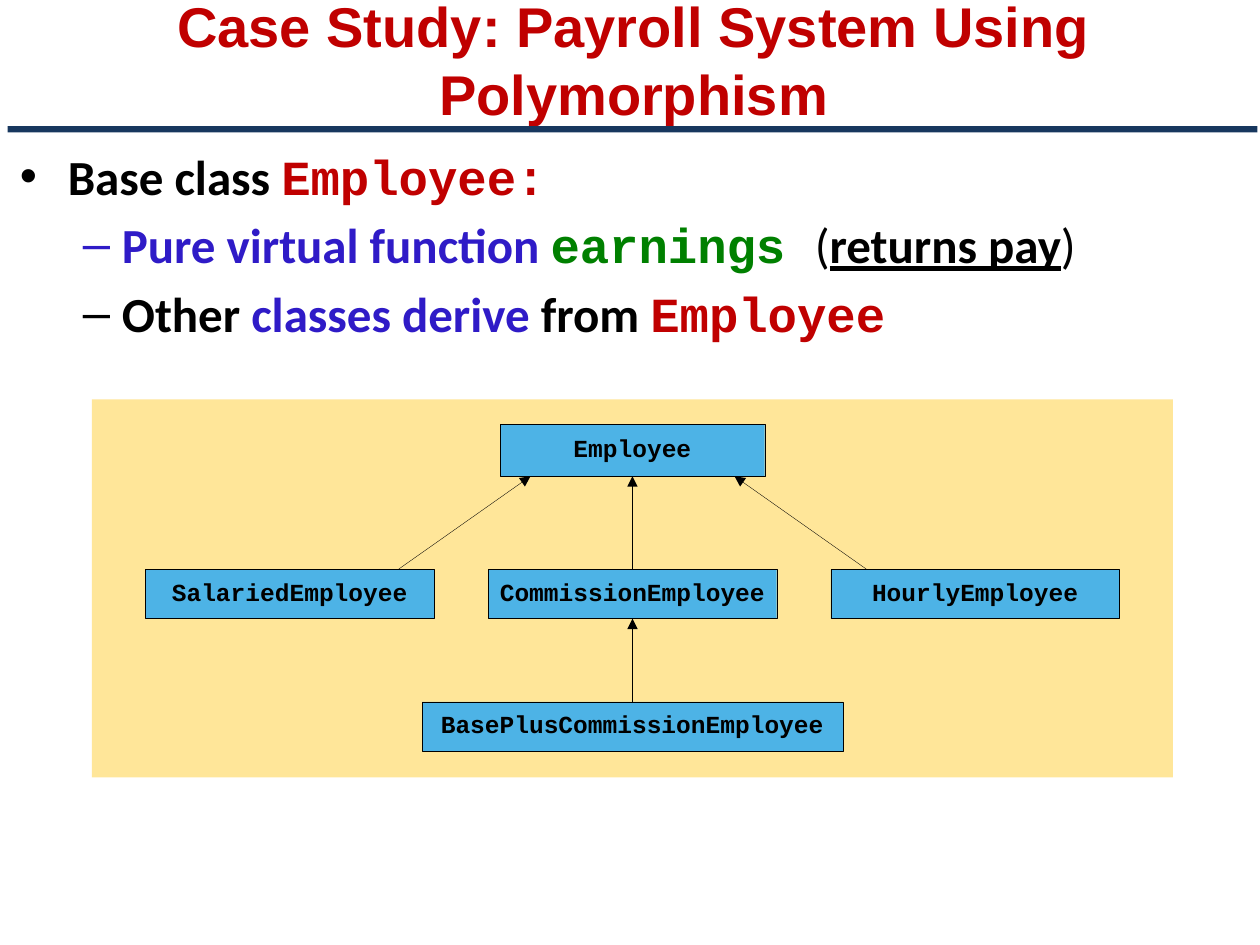
from lxml import etree
from pptx import Presentation
from pptx.dml.color import RGBColor
from pptx.enum.shapes import MSO_CONNECTOR, MSO_SHAPE
from pptx.enum.text import MSO_ANCHOR, PP_ALIGN
from pptx.oxml.ns import qn
from pptx.util import Inches, Pt

RECTANGLE = MSO_SHAPE.RECTANGLE
STRAIGHT = MSO_CONNECTOR.STRAIGHT
MIDDLE = MSO_ANCHOR.MIDDLE
CENTER = PP_ALIGN.CENTER
TOP_SIDE, BOTTOM_SIDE = 0, 2

COLORS = {
    "red": "C00000",
    "black": "000000",
    "violet": "2F1BC7",
    "green": "008000",
    "navy": "17375E",
    "sand": "FFE699",
    "sky": "4DB3E6",
}
CODE = "Courier New"
BODY = "Calibri"

BULLETS = [
    ("•", 0.38, 0.38, [
        ("Base class ", BODY, "black", True, False),
        ("Employee:", CODE, "red", True, False),
    ]),
    ("–", 0.81, 0.31, [
        ("Pure virtual function ", BODY, "violet", True, False),
        ("earnings ", CODE, "green", True, False),
        ("(", BODY, "black", False, False),
        ("returns pay", BODY, "black", True, True),
        (")", BODY, "black", False, False),
    ]),
    ("–", 0.81, 0.31, [
        ("Other ", BODY, "black", True, False),
        ("classes derive ", BODY, "violet", True, False),
        ("from ", BODY, "black", True, False),
        ("Employee", CODE, "red", True, False),
    ]),
]


def rgb(name):
    return RGBColor.from_string(COLORS[name])


def add_rectangle(page, left, top, width, height, fill, outline=None):
    box = page.shapes.add_shape(
        RECTANGLE, Inches(left), Inches(top), Inches(width), Inches(height))
    box.shadow.inherit = False
    box.fill.solid()
    box.fill.fore_color.rgb = rgb(fill)
    if outline:
        box.line.color.rgb = rgb(outline)
        box.line.width = Pt(0.2)
    else:
        box.line.fill.background()
    return box


def add_title(page, left, top, width, height):
    box = page.shapes.add_textbox(
        Inches(left), Inches(top), Inches(width), Inches(height))
    frame = box.text_frame
    frame.word_wrap = True
    frame.vertical_anchor = MIDDLE
    para = frame.paragraphs[0]
    para.text = "Case Study: Payroll System Using Polymorphism"
    para.alignment = CENTER
    para.font.name = "Arial"
    para.font.size = Pt(32)
    para.font.bold = True
    para.font.color.rgb = rgb("red")


def set_bullet(para, mark, indent, hanging):
    properties = para._p.get_or_add_pPr()
    properties.set("marL", str(Inches(indent)))
    properties.set("indent", str(-Inches(hanging)))
    etree.SubElement(properties, qn("a:buFont")).set("typeface", "Arial")
    etree.SubElement(properties, qn("a:buChar")).set("char", mark)


def add_bullets(page, left, top, width, height):
    box = page.shapes.add_textbox(
        Inches(left), Inches(top), Inches(width), Inches(height))
    frame = box.text_frame
    frame.word_wrap = True
    for index, (mark, indent, hanging, spans) in enumerate(BULLETS):
        para = frame.add_paragraph() if index else frame.paragraphs[0]
        set_bullet(para, mark, indent, hanging)
        if index:
            para.level = 1
            para.space_before = Pt(5.6)
        para.font.size = Pt(28)
        for text, font, color, bold, underline in spans:
            span = para.add_run()
            span.text = text
            span.font.name = font
            span.font.size = Pt(28)
            span.font.bold = bold
            span.font.underline = underline
            span.font.color.rgb = rgb(color)


def add_class_box(page, name, center, top, width, height):
    box = add_rectangle(
        page, center - width / 2, top, width, height, "sky", "black")
    frame = box.text_frame
    frame.margin_left = frame.margin_right = 0
    frame.margin_top = frame.margin_bottom = 0
    frame.word_wrap = True
    frame.vertical_anchor = MIDDLE
    para = frame.paragraphs[0]
    para.text = name
    para.alignment = CENTER
    para.line_spacing = 0.8
    para.font.name = CODE
    para.font.size = Pt(14)
    para.font.bold = True
    para.font.color.rgb = rgb("black")
    return box


def add_arrow(page, start_x, start_y, end_x, end_y):
    arrow = page.shapes.add_connector(
        STRAIGHT, Inches(start_x), Inches(start_y), Inches(end_x), Inches(end_y))
    arrow.line.color.rgb = rgb("black")
    arrow.line.width = Pt(0.2)
    etree.SubElement(arrow.line._ln, qn("a:tailEnd")).set("type", "triangle")
    etree.SubElement(arrow._element.spPr, qn("a:effectLst"))
    return arrow


def add_hierarchy(page, left, top, width, height):
    add_rectangle(page, left, top, width, height, "sand")
    center = left + width / 2
    base_top, child_top, leaf_top = top + 0.2, top + 1.35, top + 2.4
    base_bottom = base_top + 0.41

    base = add_class_box(page, "Employee", center, base_top, 2.1, 0.41)
    names = ["SalariedEmployee", "CommissionEmployee", "HourlyEmployee"]
    children = [
        add_class_box(page, name, center + column * 2.72, child_top, 2.29, 0.39)
        for column, name in enumerate(names, start=-1)
    ]
    leaf = add_class_box(
        page, "BasePlusCommissionEmployee", center, leaf_top, 3.34, 0.39)

    for side in (-1, 1):
        add_arrow(page, center + side * 1.86, child_top,
                  center + side * 0.81, base_bottom)
    commission = children[1]
    for lower, upper in ((commission, base), (leaf, commission)):
        arrow = add_arrow(page, center, child_top, center, base_bottom)
        arrow.begin_connect(lower, TOP_SIDE)
        arrow.end_connect(upper, BOTTOM_SIDE)


def main():
    deck = Presentation()
    deck.slide_width = Inches(10)
    deck.slide_height = Inches(7.5)
    page = deck.slides.add_slide(deck.slide_layouts[6])
    add_title(page, 0.06, 0, 9.94, 0.94)
    add_bullets(page, 0.06, 1.11, 9.94, 1.8)
    add_hierarchy(page, 0.73, 3.17, 8.58, 3)
    add_rectangle(page, 0.06, 1, 9.92, 0.05, "navy")
    deck.save("out.pptx")


if __name__ == "__main__":
    main()
